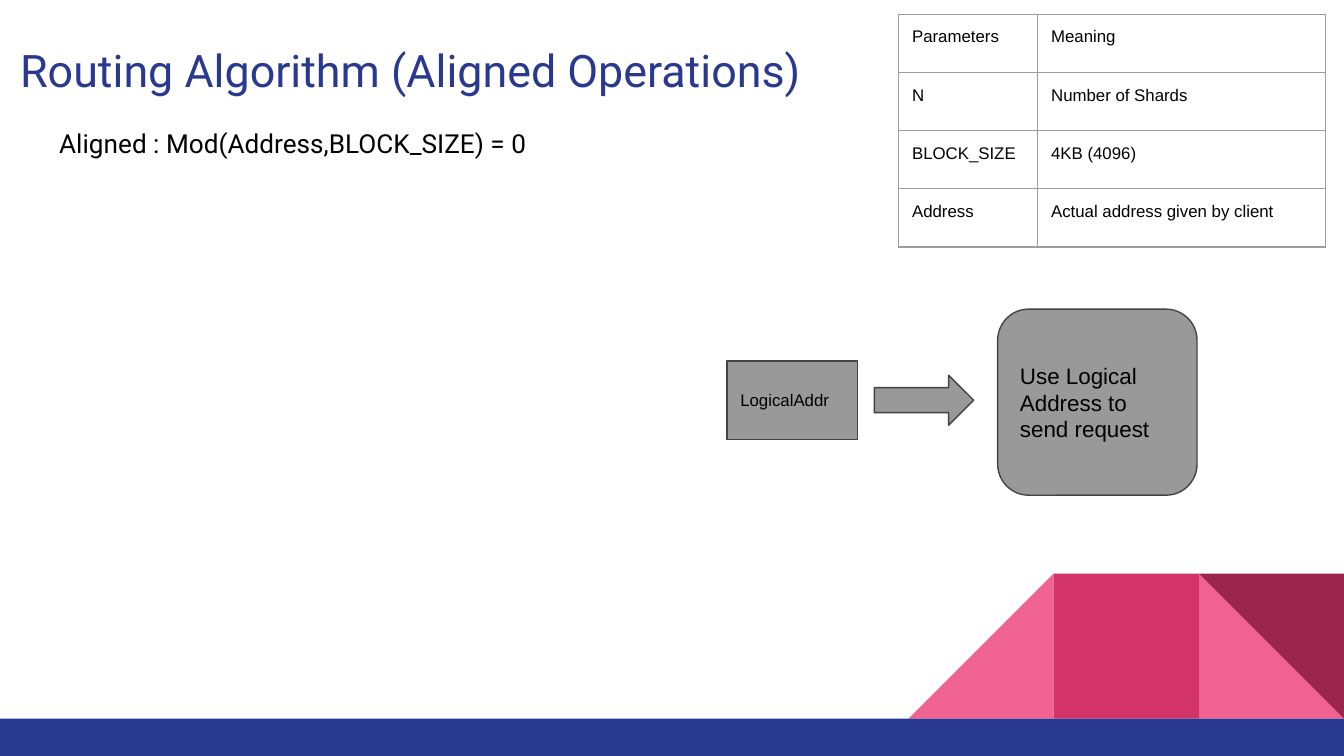
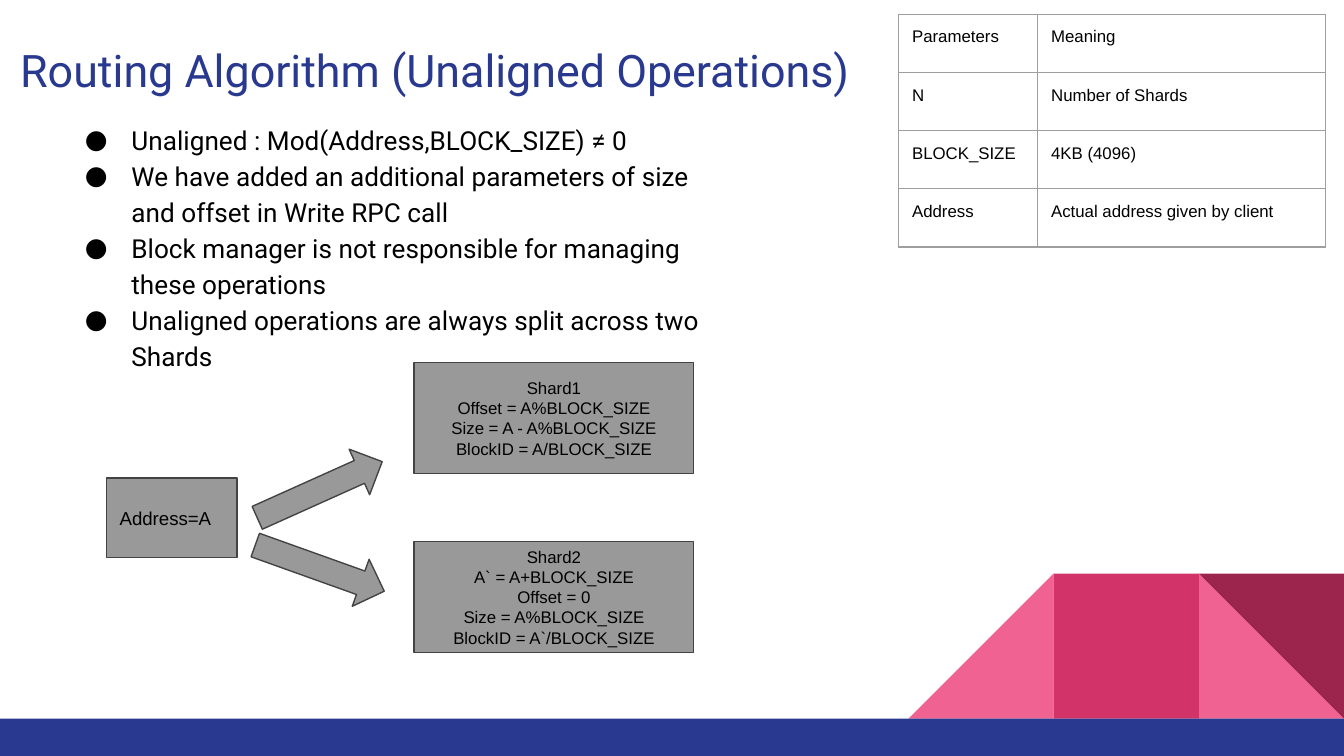
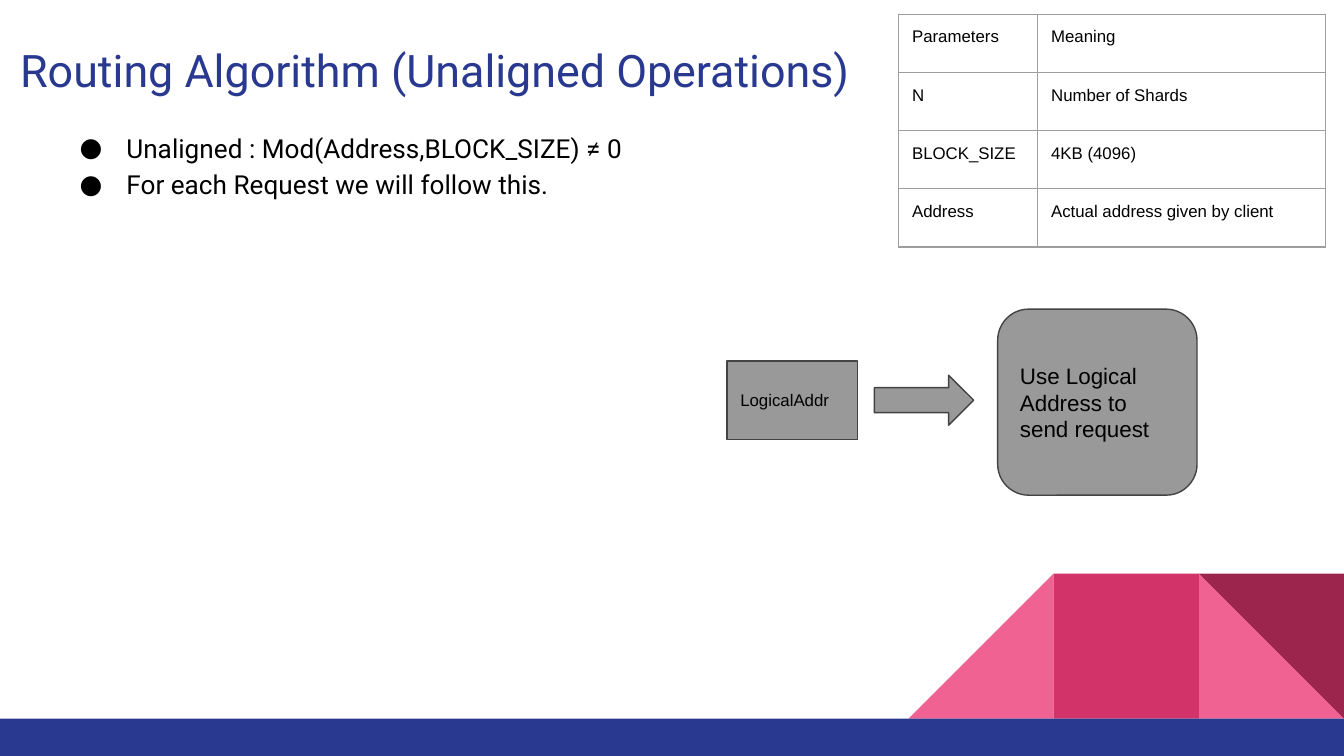
from dataclasses import dataclass

from lxml.etree import SubElement
from pptx import Presentation
from pptx.dml.color import RGBColor as Color
from pptx.enum.shapes import MSO_SHAPE as Preset
from pptx.enum.text import MSO_ANCHOR as Anchor, MSO_AUTO_SIZE as AutoSize, PP_ALIGN as Align
from pptx.oxml.ns import qn
from pptx.util import Pt


@dataclass(frozen=True)
class Theme:
    """Colours, fonts and sizes of the deck."""
    navy: str = "2A3990"
    pink: str = "F06292"
    rose: str = "D23369"
    wine: str = "9C254D"
    gray: str = "999999"
    outline: str = "434343"
    grid: str = "9E9E9E"
    black: str = "000000"
    heading_font: str = "Roboto"
    label_font: str = "Arial"
    title_size: float = 24
    list_size: float = 14
    large_size: float = 12
    address_size: float = 10
    label_size: float = 9
    line: float = 0.75
    inset: float = 7.2


THEME = Theme()
WIDTH, HEIGHT = 720, 405
ALIGNED = "Routing Algorithm (Aligned Operations)"
UNALIGNED = "Routing Algorithm (Unaligned Operations)"
UNALIGNED_RULE = "Unaligned : Mod(Address,BLOCK_SIZE) ≠ 0"
PARAMETERS = [
    ("Parameters", "Meaning"),
    ("N", "Number of Shards"),
    ("BLOCK_SIZE", "4KB (4096)"),
    ("Address", "Actual address given by client"),
]
SHARD_1 = ["Shard1", "Offset = A%BLOCK_SIZE", "Size = A - A%BLOCK_SIZE", "BlockID = A/BLOCK_SIZE"]
SHARD_2 = ["Shard2", "A` = A+BLOCK_SIZE", "Offset = 0", "Size = A%BLOCK_SIZE",
           "BlockID = A`/BLOCK_SIZE"]


def place(shape, left, top, width, height):
    """Move and size a shape, in points."""
    shape.left, shape.top, shape.width, shape.height = map(Pt, (left, top, width, height))


def set_bullet(para, bulleted):
    """Give a paragraph a round bullet with a hanging indent, or none."""
    properties = para._p.get_or_add_pPr()
    properties.set("marL", str(Pt(36 if bulleted else 0)))
    properties.set("indent", str(Pt(-25 if bulleted else 0)))
    if bulleted:
        colour = SubElement(properties, qn("a:buClr"))
        SubElement(colour, qn("a:srgbClr"), val=THEME.black)
        SubElement(properties, qn("a:buFont"), typeface=THEME.heading_font)
        SubElement(properties, qn("a:buChar"), char="●")
    else:
        SubElement(properties, qn("a:buNone"))


def write(frame, lines, size, font=THEME.label_font, colour=THEME.black,
          align=Align.LEFT, anchor=Anchor.MIDDLE, bulleted=None):
    """Fill a text frame with one paragraph per line."""
    frame.text = "\n".join(lines)
    frame.word_wrap = True
    frame.auto_size = AutoSize.NONE
    frame.vertical_anchor = anchor
    frame.margin_left = frame.margin_right = Pt(THEME.inset)
    frame.margin_top = frame.margin_bottom = Pt(THEME.inset)
    for para in frame.paragraphs:
        para.alignment = align
        para.space_before = Pt(0)
        if bulleted is not None:
            para.line_spacing = 1.15 if bulleted else 1.0
            set_bullet(para, bulleted)
        para.font.name, para.font.size = font, Pt(size)
        para.font.color.rgb = Color.from_string(colour)


def add_box(page, preset, bounds, fill=THEME.gray, outline=None, rotation=0):
    """Add a flat preset shape."""
    box = page.shapes.add_shape(preset, *map(Pt, bounds))
    box.shadow.inherit = False
    box.fill.solid()
    box.fill.fore_color.rgb = Color.from_string(fill)
    if outline:
        box.line.color.rgb = Color.from_string(outline)
        box.line.width = Pt(THEME.line)
    else:
        box.line.fill.background()
    box.rotation = rotation
    return box


def add_node(page, bounds, lines, size=THEME.label_size, preset=Preset.RECTANGLE, align=Align.LEFT):
    """Add an outlined gray box with text."""
    node = add_box(page, preset, bounds, outline=THEME.outline)
    write(node.text_frame, lines, size, align=align)


def add_arrow(page, bounds, rotation=0):
    """Add an outlined gray block arrow."""
    add_box(page, Preset.RIGHT_ARROW, bounds, outline=THEME.outline, rotation=rotation)


def add_decoration(page, layout):
    """Draw the corner triangles and the foot band and hand them to the layout."""
    side, foot = 77.75, 385
    top = foot - side
    outer, middle, inner = [(WIDTH - count * side, top, side, side) for count in (1, 2, 3)]
    right = add_box(page, Preset.RIGHT_TRIANGLE, outer, THEME.pink)
    left = add_box(page, Preset.RIGHT_TRIANGLE, inner, THEME.pink)
    left.element.spPr.get_or_add_xfrm().set("flipH", "1")
    square = add_box(page, Preset.RECTANGLE, middle, THEME.rose)
    corner = add_box(page, Preset.RIGHT_TRIANGLE, outer, THEME.wine, rotation=180)
    band = add_box(page, Preset.RECTANGLE, (0, foot, WIDTH, HEIGHT - foot), THEME.navy)
    for shape in (right, left, square, corner, band):
        layout.shapes.element.append(shape.element)


def add_border(cell):
    """Draw a thin line on each side of a table cell."""
    properties = cell._tc.get_or_add_tcPr()
    for side in ("lnL", "lnR", "lnT", "lnB"):
        line = SubElement(properties, qn(f"a:{side}"), w=str(Pt(THEME.line)))
        SubElement(SubElement(line, qn("a:solidFill")), qn("a:srgbClr"), val=THEME.grid)


def add_parameters(page):
    """Add the table of parameters."""
    widths, row_height = (74.5, 154), 31.2
    frame = page.shapes.add_table(len(PARAMETERS), len(widths), Pt(481.4), Pt(7.6),
                                  Pt(sum(widths)), Pt(row_height * len(PARAMETERS)))
    table = frame.table
    table.first_row = table.horz_banding = False
    for column, width in zip(table.columns, widths):
        column.width = Pt(width)
    for row, texts in zip(table.rows, PARAMETERS):
        row.height = Pt(row_height)
        for cell, text in zip(row.cells, texts):
            cell.text = text
            cell.margin_left = cell.margin_right = Pt(THEME.inset)
            cell.margin_top = cell.margin_bottom = Pt(THEME.inset)
            add_border(cell)
            cell.fill.background()
            font = cell.text_frame.paragraphs[0].font
            font.name, font.size = THEME.label_font, Pt(THEME.label_size)
            font.color.rgb = Color.from_string(THEME.black)


def add_page(deck, layout, title, lines, bounds, bulleted=True):
    """Add a page with its title, body text and parameter table."""
    page = deck.slides.add_slide(layout)
    heading, body = page.placeholders
    place(heading, 3.6, 13.7, 671, 47.5)
    write(heading.text_frame, [title], THEME.title_size, THEME.heading_font, THEME.navy)
    place(body, *bounds)
    write(body.text_frame, lines, THEME.list_size, THEME.heading_font,
          anchor=Anchor.TOP, bulleted=bulleted)
    add_parameters(page)
    return page


def add_request_flow(page):
    """Show the logical address leading to the request."""
    add_node(page, (389.5, 193.4, 70, 42), ["LogicalAddr"])
    add_node(page, (534.5, 165.6, 106.8, 99.7), ["Use Logical Address to send request"],
             THEME.large_size, Preset.ROUNDED_RECTANGLE)
    add_arrow(page, (468.4, 201, 53.2, 26.8))


def add_split_flow(page):
    """Show one address split across two shards."""
    add_node(page, (57, 256.2, 70, 42.4), ["Address=A"], THEME.address_size)
    for lines, box_top, arrow_top, rotation in ((SHARD_1, 194.2, 249, 335.8),
                                                (SHARD_2, 290, 291, 19.7)):
        add_arrow(page, (134.6, arrow_top, 73.4, 26.8), rotation)
        add_node(page, (221.8, box_top, 149.8, 59.6), lines, align=Align.CENTER)


def main():
    """Build and save the deck."""
    deck = Presentation()
    deck.slide_width, deck.slide_height = Pt(WIDTH), Pt(HEIGHT)
    layout = deck.slide_layouts.get_by_name("Title and Content")
    for holder in list(layout.placeholders)[2:]:
        holder.element.getparent().remove(holder.element)

    aligned = add_page(deck, layout, ALIGNED, ["Aligned : Mod(Address,BLOCK_SIZE) = 0"],
                       (24.5, 61.2, 293.8, 31.7), bulleted=False)
    add_decoration(aligned, layout)
    add_request_flow(aligned)

    split = add_page(deck, layout, UNALIGNED, [
        UNALIGNED_RULE,
        "We have added an additional parameters of size and offset in Write RPC call",
        "Block manager is not responsible for managing these operations",
        "Unaligned operations are always split across two Shards",
    ], (27.2, 56.7, 355.7, 148.3))
    add_split_flow(split)

    request = add_page(deck, layout, UNALIGNED,
                       [UNALIGNED_RULE, "For each Request we will follow this."],
                       (24.5, 61.2, 335.5, 51))
    add_request_flow(request)
    deck.save("out.pptx")


if __name__ == "__main__":
    main()
